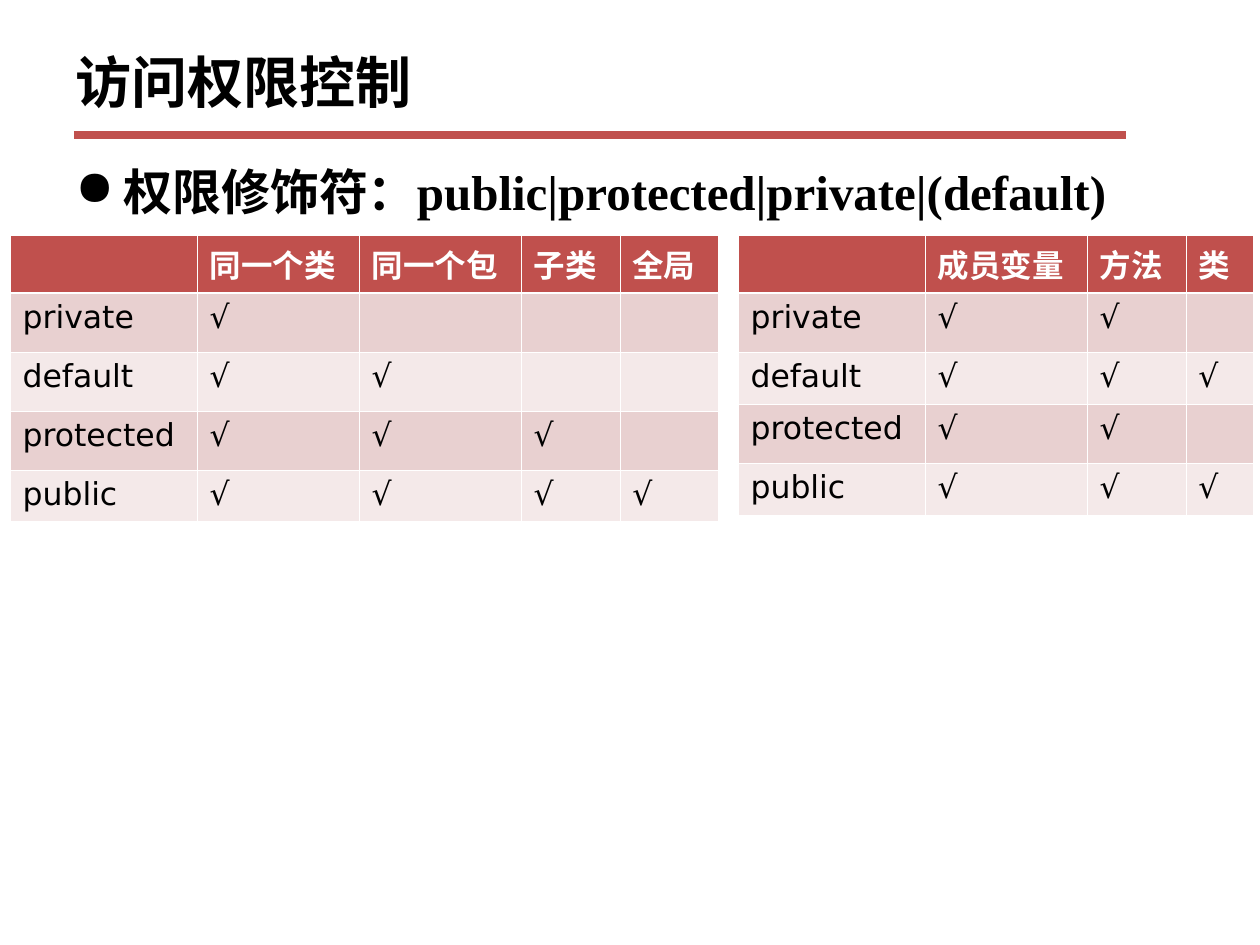
from lxml import etree
from pptx import Presentation
from pptx.dml.color import RGBColor
from pptx.enum.shapes import MSO_CONNECTOR
from pptx.enum.text import MSO_ANCHOR
from pptx.oxml.ns import qn
from pptx.util import Emu, Pt

PX = 914400 // 126  # one px in EMU
STRAIGHT = MSO_CONNECTOR.STRAIGHT
TOP, MIDDLE = MSO_ANCHOR.TOP, MSO_ANCHOR.MIDDLE
CJK, SERIF, SANS = "Noto Sans CJK SC", "Times New Roman", "DejaVu Sans"
COLORS = {name: RGBColor.from_string(value) for name, value in {
    "accent": "C0504D", "band": "E8D0D0", "light": "F4E9E9",
    "white": "FFFFFF", "black": "000000"}.items()}


def add_span(para, text, size, latin, asian, color, bold):
    span = para.add_run()
    span.text = text
    span.font.size = Pt(size)
    span.font.name = latin
    span.font.bold = bold
    span.font.color.rgb = COLORS[color]
    etree.SubElement(span.font._element, qn("a:ea"), typeface=asian)


def add_box(left, top, width, height, anchor):
    box = page.shapes.add_textbox(left * PX, top * PX, width * PX, height * PX)
    box.text_frame.word_wrap = True
    box.text_frame.vertical_anchor = anchor
    return box.text_frame.paragraphs[0]


deck = Presentation()
deck.slide_width, deck.slide_height = Emu(9144000), Emu(6858000)
page = deck.slides.add_slide(deck.slide_layouts[6])

# Rule under the title
rule = page.shapes.add_connector(STRAIGHT, 74 * PX, 135 * PX, 1126 * PX, 135 * PX)
rule.line.color.rgb = COLORS["accent"]
rule.line.width = Pt(4.5)
etree.SubElement(rule._element.spPr, qn("a:effectLst"))

# Title
title = add_box(63, 26, 1134, 110, MIDDLE)
add_span(title, "访问权限控制", 32, CJK, CJK, "black", True)

# Bullet line
bullet = add_box(63, 155, 1134, 735, TOP)
bullet.space_before = Pt(6)
props = bullet._p.get_or_add_pPr()
props.set("marL", str(48 * PX))
props.set("indent", str(-48 * PX))
etree.SubElement(props, qn("a:buChar"), char="●")
add_span(bullet, "权限修饰符：public|protected|private|(default)", 28, SERIF, CJK, "black", True)

# Tables: left edge, column widths, row heights, headings, ticks per modifier
MODIFIERS = ["private", "default", "protected", "public"]
TABLES = [
    (10, [187, 162, 162, 99, 99], [58, 59, 59, 59, 51],
     ["同一个类", "同一个包", "子类", "全局"], ["√", "√√", "√√√", "√√√√"]),
    (738, [187, 162, 99, 67], [58, 59, 52, 59, 52],
     ["成员变量", "方法", "类"], ["√√", "√√√", "√√", "√√√"]),
]
for left, widths, heights, headings, ticks in TABLES:
    grid = page.shapes.add_table(
        len(heights), len(widths), left * PX, 235 * PX,
        sum(widths) * PX, sum(heights) * PX).table
    for column, width in zip(grid.columns, widths):
        column.width = width * PX
    for row, height in zip(grid.rows, heights):
        row.height = height * PX

    lines = [["", *headings]]
    lines += [[name, *marks] for name, marks in zip(MODIFIERS, ticks)]
    for r, texts in enumerate(lines):
        fill = "accent" if r == 0 else "band" if r % 2 else "light"
        for c in range(len(widths)):
            cell = grid.cell(r, c)
            cell.fill.solid()
            cell.fill.fore_color.rgb = COLORS[fill]

            # White borders, heavier under the header
            borders = {"lnL": 0.45, "lnR": 0.45,
                       "lnT": 1.5 if r == 1 else 0.45,
                       "lnB": 1.5 if r == 0 else 0.45}
            for place, (side, weight) in enumerate(borders.items()):
                edge = etree.Element(qn("a:" + side), w=str(Pt(weight)))
                paint = etree.SubElement(edge, qn("a:solidFill"))
                etree.SubElement(paint, qn("a:srgbClr"), val=str(COLORS["white"]))
                cell._tc.get_or_add_tcPr().insert(place, edge)

            if c < len(texts) and texts[c]:
                asian = SERIF if texts[c] == "√" else CJK
                add_span(cell.text_frame.paragraphs[0], texts[c], 18, SANS, asian,
                         "black" if r else "white", r == 0)

deck.save("out.pptx")
